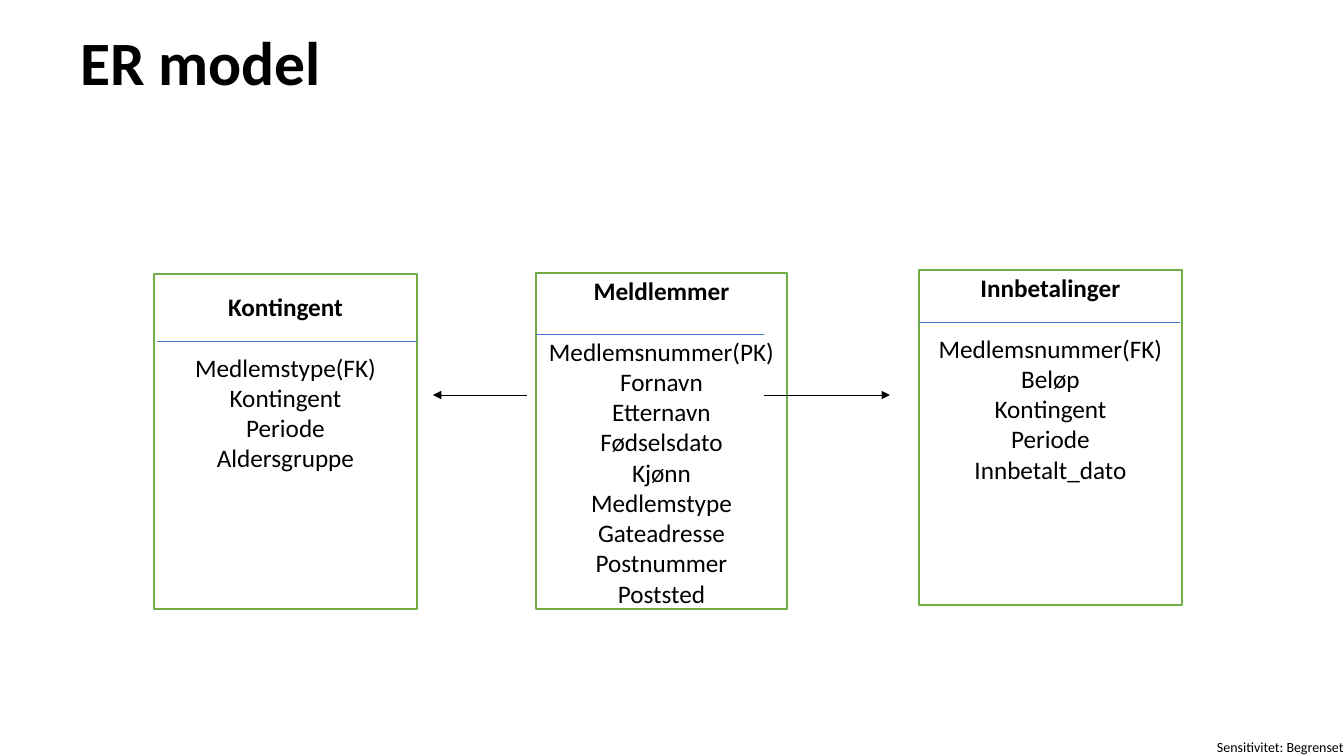
from pptx import Presentation, util as u
from pptx.dml.color import RGBColor
from pptx.enum import shapes, text
from pptx.oxml.ns import qn
from lxml import etree

SCALE = 914400 / 100.8


def px(*vals):
    """Turn pixels into EMU."""
    return [u.Emu(round(v * SCALE)) for v in vals]


def style(font, size, bold=False):
    """Set black Calibri of the given size."""
    look = dict(name="Calibri", size=u.Pt(size), bold=bold)
    for key, val in look.items():
        setattr(font, key, val)
    font.color.rgb = RGBColor.from_string("000000")


deck = Presentation()
deck.slide_width, deck.slide_height = px(1344, 756)
slide = deck.slides.add_slide(deck.slide_layouts[5])

# Title
title = slide.shapes.title
title.left, title.top, title.width, title.height = px(70, 16, 1159, 100)
frame = title.text_frame
frame.text = "ER model"
frame.auto_size = text.MSO_AUTO_SIZE.NONE
frame.vertical_anchor = text.MSO_ANCHOR.MIDDLE
para = frame.paragraphs[0]
para.alignment = text.PP_ALIGN.LEFT
para.line_spacing = 0.9
style(para.runs[0].font, 44, True)

# Entities: place, top inset, name, fields
tables = [
    ((536, 273, 251, 336), 2, "Meldlemmer",
     ["Medlemsnummer(PK)", "Fornavn", "Etternavn", "Fødselsdato", "Kjønn",
      "Medlemstype", "Gateadresse", "Postnummer", "Poststed"]),
    ((154, 274, 263, 335), 17, "Kontingent",
     ["Medlemstype(FK)", "Kontingent", "Periode", "Aldersgruppe"]),
    ((919, 270, 263, 335), 2, "Innbetalinger",
     ["Medlemsnummer(FK)", "Beløp", "Kontingent", "Periode",
      "Innbetalt_dato"]),
]
for place, inset, name, fields in tables:
    box = slide.shapes.add_shape(shapes.MSO_SHAPE.RECTANGLE, *px(*place))
    box.shadow.inherit = False
    box.fill.solid()
    box.fill.fore_color.rgb = RGBColor.from_string("FFFFFF")
    box.line.color.rgb = RGBColor.from_string("70AD47")
    box.line.width = u.Pt(1)
    frame = box.text_frame
    frame.word_wrap = True
    frame.vertical_anchor = text.MSO_ANCHOR.TOP
    frame.margin_top, frame.margin_bottom = px(inset, 0)
    frame.text = "\n".join([name] + fields)
    for row, para in enumerate(frame.paragraphs):
        para.alignment = text.PP_ALIGN.CENTER
        style(para.runs[0].font, 18, row == 0)
    frame.paragraphs[0].space_after = u.Pt(22)

# Rules under the names, then arrows between entities: x1, x2, y
lines = [
    (536, 764, 334, "4472C4", False),
    (157, 417, 341, "4472C4", False),
    (919, 1180, 322, "4472C4", False),
    (527, 433, 395, "000000", True),
    (764, 890, 395, "000000", True),
]
for start, end, y, color, arrow in lines:
    line = slide.shapes.add_connector(
        shapes.MSO_CONNECTOR.STRAIGHT, *px(start, y, end, y))
    line.line.color.rgb = RGBColor.from_string(color)
    line.line.width = u.Pt(0.5)
    if arrow:
        etree.SubElement(line.line._get_or_add_ln(), qn("a:tailEnd"),
                         type="triangle")
    etree.SubElement(line._element.spPr, qn("a:effectLst"))

# Sensitivity label
label = slide.shapes.add_textbox(*px(1217, 739, 131, 17))
frame = label.text_frame
for side in ("left", "top", "right", "bottom"):
    setattr(frame, "margin_" + side, 0)
frame.word_wrap = False
frame.text = "Sensitivitet: Begrenset"
style(frame.paragraphs[0].runs[0].font, 10)

deck.save("out.pptx")
